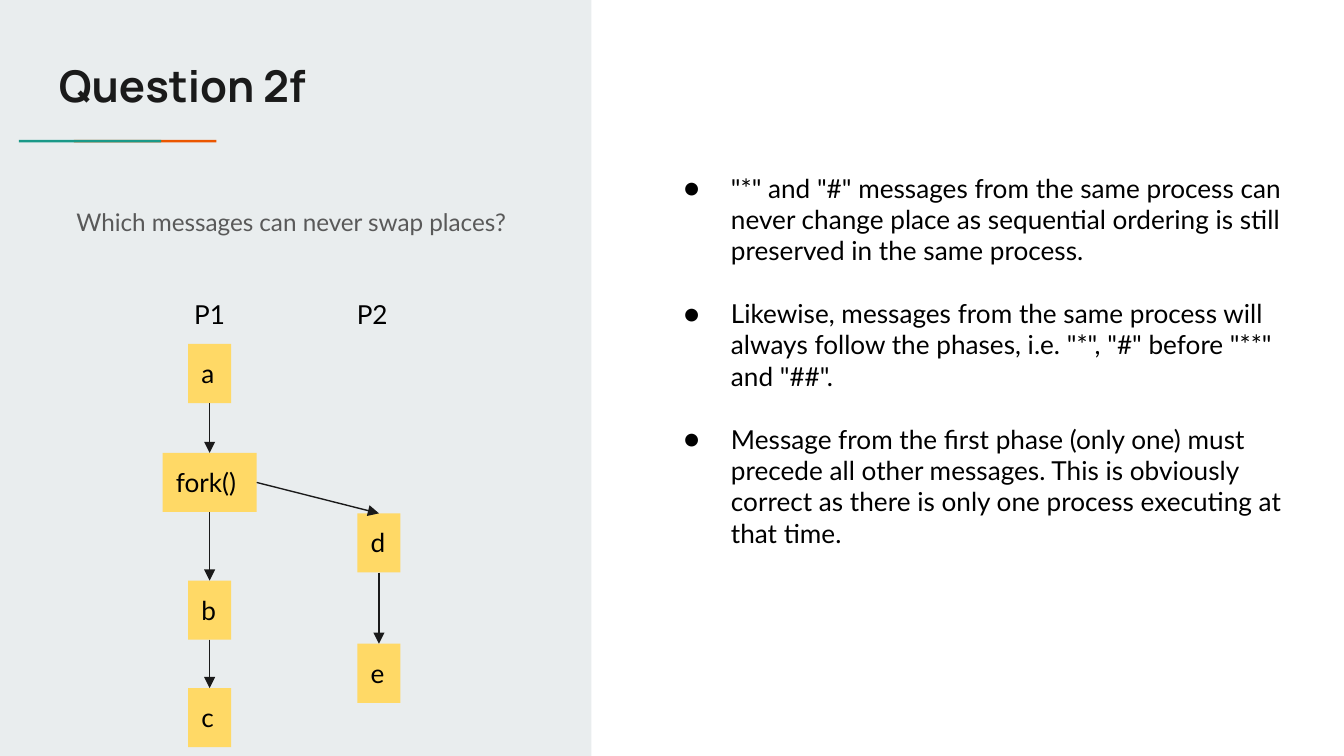
from typing import NamedTuple

from lxml.etree import SubElement
from pptx import Presentation
from pptx.dml.color import RGBColor
from pptx.enum.shapes import MSO_CONNECTOR, MSO_SHAPE
from pptx.enum.text import MSO_ANCHOR, PP_ALIGN
from pptx.oxml.ns import qn
from pptx.util import Inches, Pt

PANEL = RGBColor(0xE9, 0xED, 0xEE)
ORANGE = RGBColor(0xEB, 0x56, 0x00)
TEAL = RGBColor(0x1A, 0x99, 0x88)
YELLOW = RGBColor(0xFF, 0xD9, 0x66)
INK = RGBColor(0x1A, 0x1A, 0x1A)
GRAY = RGBColor(0x59, 0x59, 0x59)
BLACK = RGBColor(0, 0, 0)

SLIDE_WIDTH = Inches(10)
SLIDE_HEIGHT = SLIDE_WIDTH * 9 // 16
STEP_HEIGHT = 0.44
PARENT_X = 1.56
CHILD_X = 2.82


class Step(NamedTuple):
    label: str
    center: float
    top: float
    width: float = 0.32

    @property
    def bottom(self) -> float:
        return self.top + STEP_HEIGHT


PARENT_STEPS = [
    Step("a", PARENT_X, 2.56),
    Step("fork()", PARENT_X, 3.37, 0.7),
    Step("b", PARENT_X, 4.32),
    Step("c", PARENT_X, 5.12),
]
CHILD_STEPS = [Step("d", CHILD_X, 3.82), Step("e", CHILD_X, 4.79)]
ANSWERS = [
    '"*" and "#" messages from the same process can never change place as '
    "sequential ordering is still preserved in the same process.",
    "Likewise, messages from the same process will always follow the phases, "
    'i.e. "*", "#" before "**" and "##".',
    "Message from the first phase (only one) must precede all other messages. "
    "This is obviously correct as there is only one process executing at that time.",
]


def add_rectangle(slide, left: float, top: float, width: float, height: float, color: RGBColor):
    shape = slide.shapes.add_shape(
        MSO_SHAPE.RECTANGLE, Inches(left), Inches(top), Inches(width), Inches(height)
    )
    shape.shadow.inherit = False
    shape.fill.solid()
    shape.fill.fore_color.rgb = color
    shape.line.fill.background()
    return shape


def add_text_box(slide, left: float, top: float, width: float, height: float):
    return slide.shapes.add_textbox(Inches(left), Inches(top), Inches(width), Inches(height))


def add_bullet(paragraph) -> None:
    properties = paragraph._p.get_or_add_pPr()
    properties.set("marL", str(Inches(0.5)))
    properties.set("indent", str(Inches(-0.35)))
    color = SubElement(properties, qn("a:buClr"))
    SubElement(color, qn("a:srgbClr"), val=str(BLACK))
    SubElement(properties, qn("a:buFont"), typeface="Lato")
    SubElement(properties, qn("a:buChar"), char="●")


def write_text(shape, *texts: str, size: float = 14, font: str = "Lato",
               color: RGBColor = BLACK, bold: bool = False, bullet: bool = False,
               align=PP_ALIGN.LEFT, anchor=MSO_ANCHOR.TOP,
               line_spacing: float = 1.0, gap: float = 0) -> None:
    frame = shape.text_frame
    frame.word_wrap = True
    frame.vertical_anchor = anchor
    frame.margin_left = frame.margin_right = Inches(0.1)
    frame.margin_top = frame.margin_bottom = Inches(0.1)
    for index, text in enumerate(texts):
        paragraph = frame.add_paragraph() if index else frame.paragraphs[0]
        paragraph.text = text
        paragraph.alignment = align
        paragraph.line_spacing = line_spacing
        if index:
            paragraph.space_before = Pt(gap)
        if bullet:
            add_bullet(paragraph)
        paragraph.font.size = Pt(size)
        paragraph.font.name = font
        paragraph.font.bold = bold
        paragraph.font.color.rgb = color


def add_arrow(slide, start: tuple[float, float], end: tuple[float, float]) -> None:
    connector = slide.shapes.add_connector(
        MSO_CONNECTOR.STRAIGHT, *(Inches(value) for value in (*start, *end))
    )
    connector.line.color.rgb = INK
    connector.line.width = Pt(0.75)
    SubElement(connector.line._get_or_add_ln(), qn("a:tailEnd"), type="triangle")
    SubElement(connector._element.spPr, qn("a:effectLst"))


def add_process(slide, name: str, label_left: float, steps: list[Step]) -> None:
    label = add_text_box(slide, label_left, 2.12, 0.64, STEP_HEIGHT)
    write_text(label, name, align=PP_ALIGN.CENTER)
    for step in steps:
        shape = add_rectangle(
            slide, step.center - step.width / 2, step.top, step.width, STEP_HEIGHT, YELLOW
        )
        write_text(shape, step.label)
    for before, after in zip(steps, steps[1:]):
        add_arrow(slide, (before.center, before.bottom), (after.center, after.top))


def main() -> None:
    presentation = Presentation()
    presentation.slide_width = SLIDE_WIDTH
    presentation.slide_height = SLIDE_HEIGHT
    slide = presentation.slides.add_slide(presentation.slide_layouts[6])

    add_rectangle(slide, 0, 0, 4.4, SLIDE_HEIGHT.inches if hasattr(SLIDE_HEIGHT, "inches")
                  else SLIDE_HEIGHT / Inches(1), PANEL)
    for left, color in ((0.55, ORANGE), (0.14, TEAL)):
        add_rectangle(slide, left, 1.04, 1.06, 0.02, color)

    title = add_text_box(slide, 0.34, 0.34, 3.61, 0.58)
    write_text(title, "Question 2f", size=23.4, font="Manrope", color=INK,
               bold=True, anchor=MSO_ANCHOR.MIDDLE)
    question = add_text_box(slide, 0.47, 1.41, 3.69, 3.31)
    write_text(question, "Which messages can never swap places?", size=13,
               color=GRAY, line_spacing=1.15)

    add_process(slide, "P1", 1.24, PARENT_STEPS)
    add_process(slide, "P2", 2.45, CHILD_STEPS)
    fork, child = PARENT_STEPS[1], CHILD_STEPS[0]
    add_arrow(slide, (fork.center + fork.width / 2, fork.top + STEP_HEIGHT / 2),
              (child.center, child.top))

    answer = add_text_box(slide, 4.84, 1.18, 4.92, 3.27)
    write_text(answer, *ANSWERS, bullet=True, gap=16.8)

    presentation.save("out.pptx")


if __name__ == "__main__":
    main()
